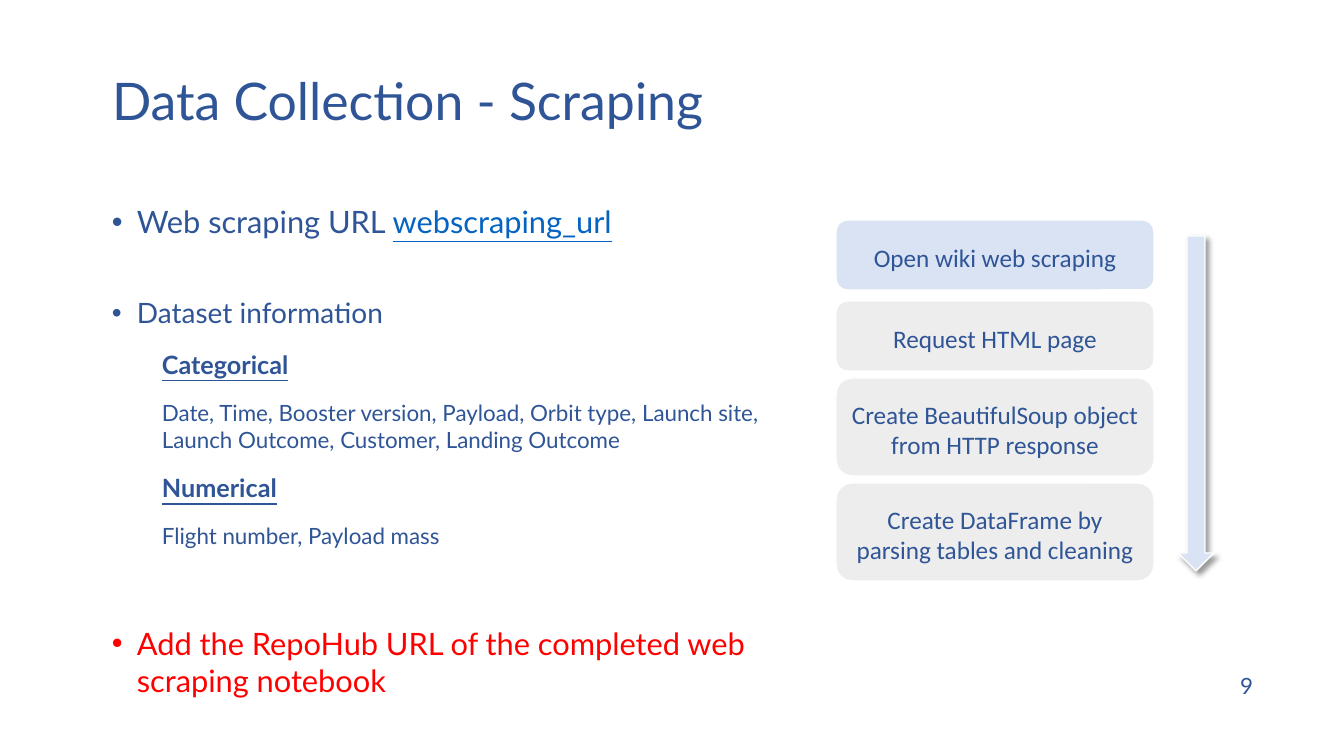
from lxml import etree
from pptx import Presentation
from pptx.dml.color import RGBColor
from pptx.enum.shapes import MSO_SHAPE
from pptx.enum.text import MSO_ANCHOR, MSO_AUTO_SIZE, PP_ALIGN
from pptx.oxml import parse_xml
from pptx.oxml.ns import nsdecls, qn
from pptx.util import Pt

PX = 914400 / 100.8
TITLE_ONLY = 5
LEFT, CENTER, RIGHT = PP_ALIGN.LEFT, PP_ALIGN.CENTER, PP_ALIGN.RIGHT
MIDDLE = MSO_ANCHOR.MIDDLE
ROUNDED, DOWN_ARROW = MSO_SHAPE.ROUNDED_RECTANGLE, MSO_SHAPE.DOWN_ARROW

NAVY = RGBColor(0x2F, 0x55, 0x97)
LINK_BLUE = RGBColor(0x05, 0x63, 0xC1)
RED = RGBColor(0xFF, 0x00, 0x00)
PALE_BLUE = RGBColor(0xDA, 0xE3, 0xF3)
PALE_GREY = RGBColor(0xED, 0xED, 0xED)
WHITE = RGBColor(0xFF, 0xFF, 0xFF)

BODY = {"name": "Lato", "size": Pt(22), "color": NAVY}
LINK = {**BODY, "color": LINK_BLUE, "underline": True}
DATASET = {**BODY, "size": Pt(20)}
HEADING = {**BODY, "size": Pt(18), "bold": True, "underline": True}
DETAIL = {**BODY, "size": Pt(16)}
TASK = {**BODY, "color": RED}
TITLE = {**BODY, "size": Pt(37)}
STEP = {**BODY, "name": "Calibri", "size": Pt(18)}

# bullet shown, space before in points, runs
BODY_PARAGRAPHS = [
    (True, 0, [("Web scraping URL ", BODY), ("webscraping_url", LINK)]),
    (True, 40, [("Dataset information", DATASET)]),
    (False, 14, [("Categorical", HEADING)]),
    (False, 14, [("Date, Time, Booster version, Payload, Orbit type, Launch site, "
                  "Launch Outcome, Customer, Landing Outcome", DETAIL)]),
    (False, 14, [("Numerical", HEADING)]),
    (False, 14, [("Flight number, Payload mass", DETAIL)]),
    (True, 54, [("Add the RepoHub URL of the completed web scraping notebook", TASK)]),
]

# top, height, fill, lines
STEPS = [
    (220, 70, PALE_BLUE, ["Open wiki web scraping"]),
    (301, 70, PALE_GREY, ["Request HTML page"]),
    (378, 98, PALE_GREY, ["Create BeautifulSoup object from HTTP response"]),
    (483, 98, PALE_GREY, ["Create DataFrame by", "parsing tables and cleaning"]),
]


def px(n):
    return round(n * PX)


def box(*lengths):
    return [px(n) for n in lengths]


def add_run(p, text, style):
    r = p.add_run()
    r.text = text
    for key, value in style.items():
        if key == "color":
            r.font.color.rgb = value
        else:
            setattr(r.font, key, value)


def next_paragraph(tf, index):
    return tf.add_paragraph() if index else tf.paragraphs[0]


def set_title(s, text):
    sp = s.shapes.title
    sp.left, sp.top, sp.width, sp.height = box(102, 77, 1159, 60)
    tf = sp.text_frame
    tf.auto_size = MSO_AUTO_SIZE.NONE
    tf.vertical_anchor = MIDDLE
    p = tf.paragraphs[0]
    p.alignment = LEFT
    p.line_spacing = 0.7
    add_run(p, text, TITLE)


def set_indent(p, bullet):
    pPr = p._p.get_or_add_pPr()
    pPr.set("marL", str(px(25 if bullet else 50)))
    pPr.set("indent", str(px(-25 if bullet else 0)))
    if bullet:
        font = etree.SubElement(pPr, qn("a:buFont"))
        font.set("typeface", "Arial")
        etree.SubElement(pPr, qn("a:buChar")).set("char", "•")


def add_body(s):
    tf = s.shapes.add_textbox(*box(102, 198, 711, 499)).text_frame
    tf.word_wrap = True
    for i, (bullet, space, runs) in enumerate(BODY_PARAGRAPHS):
        p = next_paragraph(tf, i)
        set_indent(p, bullet)
        p.space_before = Pt(space)
        for text, style in runs:
            add_run(p, text, style)


def add_outlined(s, kind, bounds, fill):
    sp = s.shapes.add_shape(kind, *box(*bounds))
    sp.shadow.inherit = False
    sp.fill.solid()
    sp.fill.fore_color.rgb = fill
    sp.line.color.rgb = WHITE
    sp.line.width = Pt(1)
    return sp


def add_step(s, top, height, fill, lines):
    sp = add_outlined(s, ROUNDED, (836, top, 318, height), fill)
    tf = sp.text_frame
    tf.word_wrap = True
    tf.vertical_anchor = MIDDLE
    tf.margin_top, tf.margin_bottom = px(5), 0
    for i, line in enumerate(lines):
        p = next_paragraph(tf, i)
        p.alignment = CENTER
        add_run(p, line, STEP)


def add_flow_arrow(s):
    sp = add_outlined(s, DOWN_ARROW, (1178, 236, 36, 335), PALE_BLUE)
    effects = sp._element.spPr.find(qn("a:effectLst"))
    effects.append(parse_xml(
        f'<a:outerShdw {nsdecls("a")} blurRad="{Pt(4)}" dist="{Pt(3)}" '
        'dir="2700000" algn="tl" rotWithShape="0">'
        '<a:srgbClr val="000000"><a:alpha val="40000"/></a:srgbClr></a:outerShdw>'))


def add_page_number(s, number):
    tf = s.shapes.add_textbox(*box(961, 664, 302, 44)).text_frame
    tf.word_wrap = True
    tf.vertical_anchor = MIDDLE
    p = tf.paragraphs[0]
    p.alignment = RIGHT
    add_run(p, number, DETAIL)


def main():
    prs = Presentation()
    prs.slide_width, prs.slide_height = box(1344, 756)
    s = prs.slides.add_slide(prs.slide_layouts[TITLE_ONLY])
    set_title(s, "Data Collection - Scraping")
    add_body(s)
    for step in STEPS:
        add_step(s, *step)
    add_flow_arrow(s)
    add_page_number(s, "9")
    prs.save("out.pptx")


if __name__ == "__main__":
    main()
